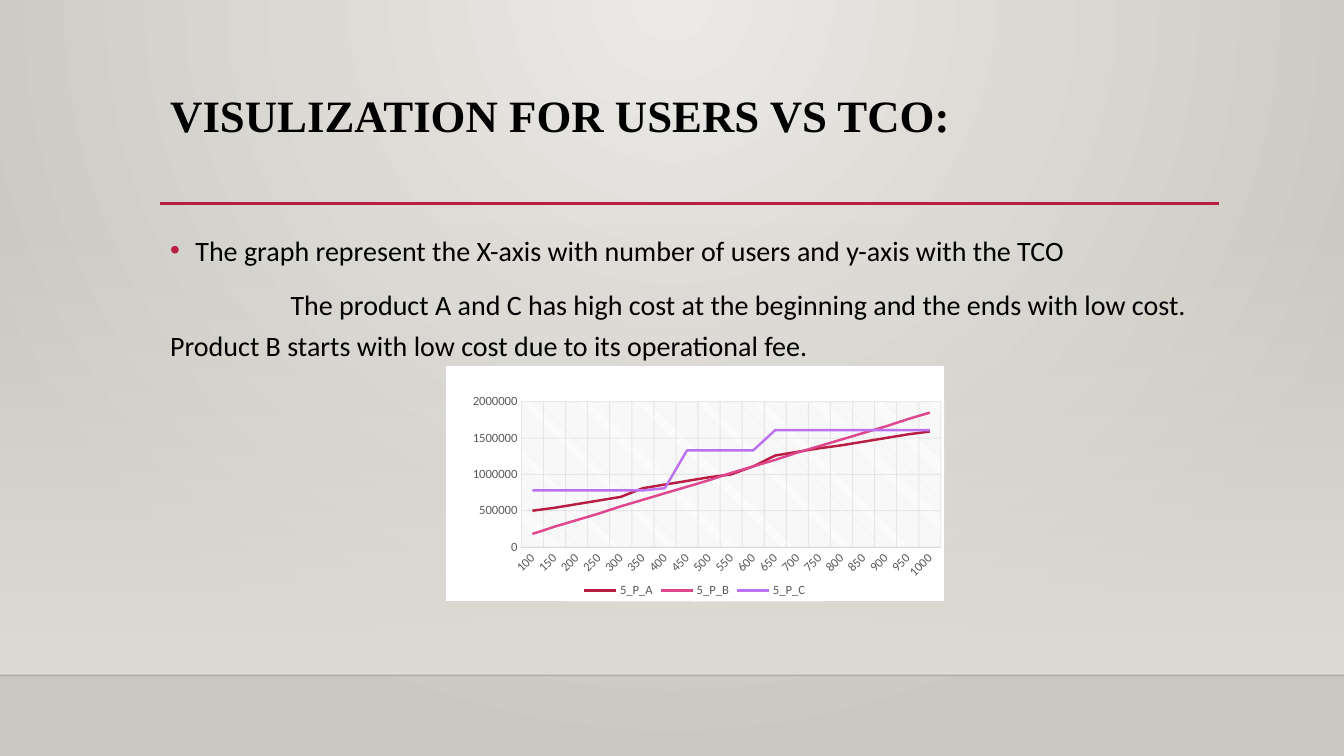
"""Build the users versus TCO slide with its line chart."""
from lxml.etree import SubElement
from pptx import Presentation
from pptx.chart.data import CategoryChartData
from pptx.dml.color import RGBColor
from pptx.enum.chart import XL_CHART_TYPE, XL_LEGEND_POSITION, XL_TICK_MARK
from pptx.enum.shapes import MSO_CONNECTOR, MSO_SHAPE
from pptx.enum.text import MSO_ANCHOR
from pptx.oxml import parse_xml
from pptx.oxml.ns import nsdecls, qn
from pptx.util import Pt

TITLE = "VISULIZATION FOR USERS VS TCO:"
POINTS = [
    "The graph represent the X-axis with number of users and y-axis with the TCO",
    "The product A and C has high cost at the beginning and the ends with low cost. "
    "Product B starts with low cost due to its operational fee.",
]
USERS = [str(users) for users in range(100, 1001, 50)]
COSTS_IN_THOUSANDS = {
    "5_P_A": [500, 540, 590, 640, 690, 810, 860, 910, 960, 1000,
              1110, 1260, 1310, 1360, 1400, 1450, 1500, 1550, 1590],
    "5_P_B": [180, 280, 370, 460, 560, 650, 740, 830, 920, 1020,
              1110, 1200, 1300, 1390, 1480, 1570, 1660, 1760, 1850],
    "5_P_C": [780] * 6 + [810] + [1330] * 4 + [1610] * 8,
}
COLORS = {
    "glow": "ECEAE7", "edge": "CAC7C1", "wall": "DFDBD5", "accent": "B71E42",
    "text": "000000", "label": "595959", "grid": "D9D9D9", "paper": "FFFFFF",
    "5_P_A": "B71E42", "5_P_B": "DE478E", "5_P_C": "BC72F0",
}
WIDTH, HEIGHT = 960, 540
LEFT, CONTENT_WIDTH = 114.5, 756
FLOOR = 482.4
PLOT_LAYOUT = {"x": 0.153, "y": 0.153, "w": 0.84, "h": 0.615}


def rgb(name):
    return RGBColor.from_string(COLORS[name])


def set_alpha(owner, percent):
    for color in owner.iter(qn("a:srgbClr")):
        SubElement(color, qn("a:alpha"), val=str(percent * 1000))


def set_gradient(fill, start, end):
    fill.gradient()
    for stop, name in zip(fill.gradient_stops, (start, end)):
        stop.color.rgb = rgb(name)


def style_font(font, size, color, family="Calibri", bold=False):
    font.size, font.name, font.bold = Pt(size), family, bold
    font.color.rgb = rgb(color)


def style_line(line, color, width):
    line.color.rgb = rgb(color)
    line.width = Pt(width)


def add_rule(slide, left, right, y, color, width):
    rule = slide.shapes.add_connector(
        MSO_CONNECTOR.STRAIGHT, Pt(left), Pt(y), Pt(right), Pt(y))
    style_line(rule.line, color, width)
    SubElement(rule.element.spPr, qn("a:effectLst"))
    return rule


def add_text(slide, top, height):
    frame = slide.shapes.add_textbox(
        Pt(LEFT), Pt(top), Pt(CONTENT_WIDTH), Pt(height)).text_frame
    frame.word_wrap = True
    frame.vertical_anchor = MSO_ANCHOR.TOP
    return frame


def add_backdrop(slide):
    set_gradient(slide.background.fill, "glow", "edge")
    gradient = next(slide.element.iter(qn("a:gradFill")))
    gradient.remove(gradient.find(qn("a:lin")))
    path = SubElement(gradient, qn("a:path"), path="circle")
    SubElement(path, qn("a:fillToRect"), l="43000", t="0", r="43000", b="100000")

    wall = slide.shapes.add_shape(
        MSO_SHAPE.RECTANGLE, 0, Pt(159), Pt(WIDTH), Pt(FLOOR - 159))
    wall.shadow.inherit = False
    wall.line.fill.background()
    set_gradient(wall.fill, "wall", "wall")
    wall.fill.gradient_angle = 270
    set_alpha(next(wall.element.iter(qn("a:gs"))), 0)

    floor_line = add_rule(slide, 0, WIDTH, FLOOR, "text", 1)
    set_alpha(floor_line.element.spPr, 20)
    add_rule(slide, LEFT, 871, 145.4, "accent", 2.5)


def add_points(slide):
    frame = add_text(slide, 158.4, 271.5)
    for index, point in enumerate(POINTS):
        paragraph = frame.paragraphs[0] if index == 0 else frame.add_paragraph()
        paragraph.line_spacing, paragraph.space_before = 1.2, Pt(10)
        run = paragraph.add_run()
        run.text = point
        style_font(run.font, 20, "text")
        properties = paragraph._p.get_or_add_pPr()
        if index == 0:
            properties.set("marL", str(Pt(18)))
            properties.set("indent", str(-Pt(18)))
            bullet_color = SubElement(properties, qn("a:buClr"))
            SubElement(bullet_color, qn("a:srgbClr"), val=COLORS["accent"])
            SubElement(properties, qn("a:buFont"), typeface="Arial")
            SubElement(properties, qn("a:buChar"), char="•")
        else:
            properties.set("indent", str(Pt(86)))


def style_axis(axis):
    axis.major_tick_mark = axis.minor_tick_mark = XL_TICK_MARK.NONE
    axis.has_major_gridlines = True
    grid = axis.major_gridlines.format.line
    style_line(grid, "grid", 0.75)
    set_alpha(axis._element.find(qn("c:majorGridlines")), 54)
    style_font(axis.tick_labels.font, 9, "label")


def style_areas(chart):
    space = chart._chartSpace
    space.find(qn("c:txPr")).addprevious(parse_xml(
        f'<c:spPr {nsdecls("c", "a")}><a:solidFill><a:srgbClr val="{COLORS["paper"]}"/>'
        f'</a:solidFill><a:ln w="{Pt(0.75)}"><a:solidFill><a:srgbClr val="{COLORS["grid"]}"/>'
        '</a:solidFill></a:ln></c:spPr>'))
    plot_area = space.chart.plotArea
    plot_area.append(parse_xml(
        f'<c:spPr {nsdecls("c", "a")}><a:pattFill prst="ltDnDiag">'
        f'<a:fgClr><a:srgbClr val="{COLORS["grid"]}"/></a:fgClr>'
        f'<a:bgClr><a:srgbClr val="{COLORS["paper"]}"/></a:bgClr>'
        '</a:pattFill><a:ln><a:noFill/></a:ln></c:spPr>'))
    for old_layout in plot_area.findall(qn("c:layout")):
        plot_area.remove(old_layout)
    sizes = "".join(f'<c:{key} val="{share}"/>' for key, share in PLOT_LAYOUT.items())
    plot_area.insert(0, parse_xml(
        f'<c:layout {nsdecls("c")}><c:manualLayout><c:layoutTarget val="inner"/>'
        f'<c:xMode val="edge"/><c:yMode val="edge"/>{sizes}</c:manualLayout></c:layout>'))


def add_cost_chart(slide):
    costs = CategoryChartData(number_format="General")
    costs.categories = USERS
    for product, thousands in COSTS_IN_THOUSANDS.items():
        costs.add_series(product, [cost * 1000 for cost in thousands])
    chart = slide.shapes.add_chart(
        XL_CHART_TYPE.LINE, Pt(317.5), Pt(260.8), Pt(357.5), Pt(169.6), costs).chart
    style_font(chart.font, 10, "text")
    chart.has_title = False
    chart.has_legend = True
    chart.legend.position = XL_LEGEND_POSITION.BOTTOM
    chart.legend.include_in_layout = False
    style_font(chart.legend.font, 9, "label")

    users_axis, cost_axis = chart.category_axis, chart.value_axis
    for axis in (users_axis, cost_axis):
        style_axis(axis)
    style_line(users_axis.format.line, "grid", 0.75)
    users_axis._element.find(qn("c:txPr")).find(qn("a:bodyPr")).set("rot", "-2700000")
    cost_axis.format.line.fill.background()
    cost_axis.minimum_scale, cost_axis.maximum_scale = 0, 2000000
    cost_axis.major_unit = 500000

    chart.plots[0].vary_by_categories = False
    for series in chart.plots[0].series:
        series.smooth = False
        style_line(series.format.line, series.name, 1.75)
    style_areas(chart)


def main():
    deck = Presentation()
    deck.slide_width, deck.slide_height = Pt(WIDTH), Pt(HEIGHT)
    slide = deck.slides.add_slide(deck.slide_layouts[6])
    add_backdrop(slide)
    heading = add_text(slide, 63.4, 82.8).paragraphs[0]
    heading.line_spacing = 0.9
    run = heading.add_run()
    run.text = TITLE
    style_font(run.font, 32, "text", "Times New Roman", True)
    add_points(slide)
    add_cost_chart(slide)
    deck.save("out.pptx")


if __name__ == "__main__":
    main()
